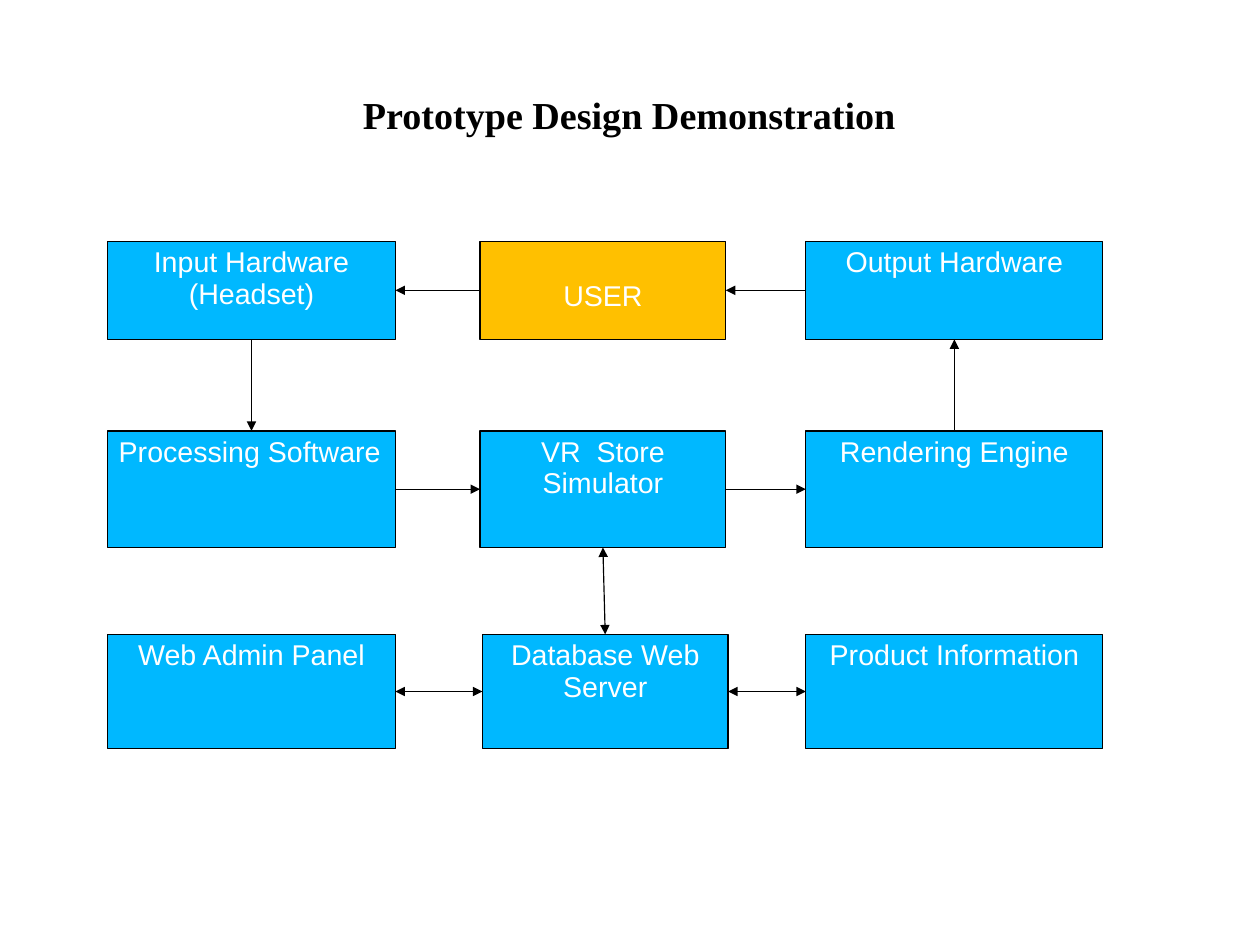
from lxml import etree
from pptx import Presentation
from pptx.dml.color import RGBColor
from pptx.enum.shapes import MSO_CONNECTOR, MSO_SHAPE
from pptx.enum.text import MSO_ANCHOR, PP_ALIGN
from pptx.oxml.ns import qn
from pptx.util import Cm, Inches, Pt

RECT, STRAIGHT = MSO_SHAPE.RECTANGLE, MSO_CONNECTOR.STRAIGHT
LEFT, CENTER = PP_ALIGN.LEFT, PP_ALIGN.CENTER
TOP, MIDDLE = MSO_ANCHOR.TOP, MSO_ANCHOR.MIDDLE

# Content: text of each box, by row and column of the grid
TITLE = "Prototype Design Demonstration"
STAGES = [
    ["Input Hardware\n(Headset)", "USER", "Output Hardware"],
    ["Processing Software", "VR  Store Simulator", "Rendering Engine"],
    ["Web Admin Panel", "Database Web Server", "Product Information"],
]
USER, PROCESSING, DATABASE = (0, 1), (1, 0), (2, 1)

# Flows: from (row, column), to (row, column), arrows at both ends
FLOWS = [
    ((0, 1), (0, 0), False),
    ((0, 2), (0, 1), False),
    ((0, 0), (1, 0), False),
    ((1, 0), (1, 1), False),
    ((1, 1), (1, 2), False),
    ((1, 2), (0, 2), False),
    ((1, 1), (2, 1), True),
    ((2, 0), (2, 1), True),
    ((2, 1), (2, 2), True),
]

# Slide in centimetres, grid in inches: (start, extent)
SLIDE_SIZE = (28, 21)
TITLE_AREA = (0.55, 0.33, 9.91, 1.38)
COLUMNS = [(0.94, 2.52), (4.2, 2.15), (7.05, 2.6)]
ROWS = [(2.11, 0.86), (3.77, 1.02), (5.55, 1.0)]
DATABASE_SHIFT = 0.02
USER_TOP_INSET = 0.35

# Connection sites of a rectangle by (row step, column step)
SITES = {(-1, 0): 0, (0, -1): 1, (1, 0): 2, (0, 1): 3}

BLUE, AMBER, WHITE, BLACK = "00B8FF", "FFC000", "FFFFFF", "000000"
LINE_WIDTH = Pt(0.75)
TITLE_FONT = {"name": "Times New Roman", "size": Pt(24), "bold": True}
STAGE_FONT = {"name": "Arial", "size": Pt(18)}


def color(hex_code):
    return RGBColor.from_string(hex_code)


def write(frame, text, font_format, ink, align, anchor):
    frame.text = text
    frame.word_wrap = True
    frame.vertical_anchor = anchor
    for paragraph in frame.paragraphs:
        paragraph.alignment = align
        paragraph.line_spacing = 0.93
        for run in paragraph.runs:
            run.font.color.rgb = color(ink)
            for key, value in font_format.items():
                setattr(run.font, key, value)


def outline(line):
    line.color.rgb = color(BLACK)
    line.width = LINE_WIDTH


def add_stage(slide, cell, text):
    row, column = cell
    (left, width), (top, height) = COLUMNS[column], ROWS[row]
    if cell == DATABASE:
        left += DATABASE_SHIFT
    stage = slide.shapes.add_shape(RECT, *map(Inches, (left, top, width, height)))
    stage.shadow.inherit = False
    stage.fill.solid()
    stage.fill.fore_color.rgb = color(AMBER if cell == USER else BLUE)
    outline(stage.line)
    align = LEFT if cell == PROCESSING else CENTER
    write(stage.text_frame, text, STAGE_FONT, WHITE, align, TOP)
    if cell == USER:
        stage.text_frame.margin_top = Inches(USER_TOP_INSET)
    return stage


def add_flow(slide, stages, start, end, two_way):
    step = (end[0] - start[0], end[1] - start[1])
    back = (-step[0], -step[1])
    flow = slide.shapes.add_connector(STRAIGHT, 0, 0, 0, 0)
    flow.begin_connect(stages[start], SITES[step])
    flow.end_connect(stages[end], SITES[back])
    outline(flow.line)
    stroke = flow.line._get_or_add_ln()
    for tag in ["a:headEnd", "a:tailEnd"] if two_way else ["a:tailEnd"]:
        etree.SubElement(stroke, qn(tag), type="triangle")
    etree.SubElement(flow._element.spPr, qn("a:effectLst"))


def main():
    deck = Presentation()
    deck.slide_width, deck.slide_height = map(Cm, SLIDE_SIZE)
    slide = deck.slides.add_slide(deck.slide_layouts[6])

    # Title
    heading = slide.shapes.add_textbox(*map(Inches, TITLE_AREA)).text_frame
    for side in ("left", "top", "right", "bottom"):
        setattr(heading, f"margin_{side}", 0)
    write(heading, TITLE, TITLE_FONT, BLACK, CENTER, MIDDLE)

    # Boxes
    stages = {}
    for row, texts in enumerate(STAGES):
        for column, text in enumerate(texts):
            stages[row, column] = add_stage(slide, (row, column), text)

    # Arrows
    for start, end, two_way in FLOWS:
        add_flow(slide, stages, start, end, two_way)

    deck.save("out.pptx")


if __name__ == "__main__":
    main()
